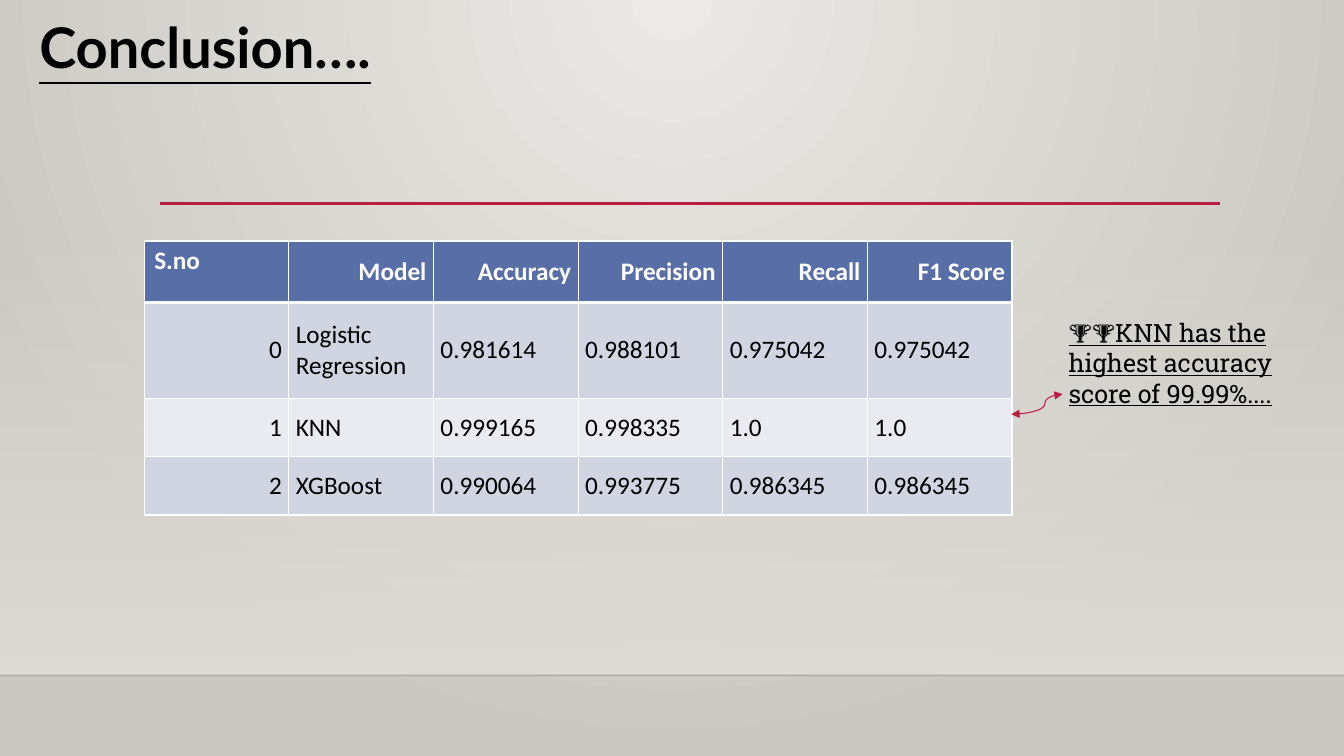
from lxml import etree
from pptx import Presentation
from pptx.dml.color import RGBColor
from pptx.enum.shapes import MSO_CONNECTOR as Connector, MSO_SHAPE as Preset
from pptx.enum.text import MSO_ANCHOR as Anchor, MSO_AUTO_SIZE as AutoSize, PP_ALIGN as Align
from pptx.oxml.ns import qn
from pptx.util import Inches, Pt

WIDTH, HEIGHT, FLOOR = 13.33, 7.5, 6.7
BLACK, WHITE, CRIMSON, SAND = "000000", "FFFFFF", "B71E42", "DFDBD5"
HEADER_FILL, BAND_FILLS = "586EA6", ("D1D5E1", "EAEBF1")
COLUMN_WIDTH = 1.435
ROW_HEIGHTS = (0.61, 0.95, 0.58, 0.58)
SCORES = (
    ("S.no", "Model", "Accuracy", "Precision", "Recall", "F1 Score"),
    ("0", "Logistic Regression", "0.981614", "0.988101", "0.975042", "0.975042"),
    ("1", "KNN", "0.999165", "0.998335", "1.0", "1.0"),
    ("2", "XGBoost", "0.990064", "0.993775", "0.986345", "0.986345"),
)


def color(value):
    return RGBColor.from_string(value)


def add_element(parent, tag, **attributes):
    element = etree.SubElement(parent, qn(tag))
    for name, value in attributes.items():
        element.set(name, str(value))
    return element


def set_opacity(parent, percent):
    """Apply an opacity to the first RGB colour below parent."""
    add_element(next(parent.iter(qn("a:srgbClr"))), "a:alpha", val=percent * 1000)


def write_text(frame, text, font="Calibri", size=18, ink=BLACK, bold=False,
               underline=False, align=Align.LEFT, spacing=None):
    frame.word_wrap = True
    paragraph = frame.paragraphs[0]
    paragraph.alignment = align
    paragraph.line_spacing = spacing
    run = paragraph.add_run()
    run.text = text
    run.font.name = font
    run.font.size = Pt(size)
    run.font.bold = bold
    run.font.underline = underline
    run.font.color.rgb = color(ink)


class SlideBuilder:
    def __init__(self, slide):
        self.slide = slide

    def fill_gradient(self, fill, *stops):
        fill.gradient()
        for stop, value in zip(fill.gradient_stops, stops):
            stop.color.rgb = color(value)

    def background(self, inner, outer):
        """Radial gradient that spreads from the middle of the top edge."""
        self.fill_gradient(self.slide.background.fill, inner, outer)
        gradient = next(self.slide.element.iter(qn("a:gradFill")))
        gradient.remove(gradient.find(qn("a:lin")))
        circle = add_element(gradient, "a:path", path="circle")
        add_element(circle, "a:fillToRect", l=43000, t=0, r=43000, b=100000)

    def fading_wall(self, left, top, width, height):
        wall = self.slide.shapes.add_shape(
            Preset.RECTANGLE, Inches(left), Inches(top), Inches(width), Inches(height))
        wall.shadow.inherit = False
        wall.line.fill.background()
        self.fill_gradient(wall.fill, SAND, SAND)
        wall.fill.gradient_angle = 270
        set_opacity(wall.element.spPr, 0)

    def line(self, start, end, ink, width, kind=Connector.STRAIGHT):
        connector = self.slide.shapes.add_connector(
            kind, *(Inches(length) for length in start + end))
        connector.line.color.rgb = color(ink)
        connector.line.width = Pt(width)
        add_element(connector.element.spPr, "a:effectLst")
        return connector

    def curved_arrow(self, start, end, bend):
        arrow = self.line(start, end, CRIMSON, 0.75, Connector.CURVE)
        properties = arrow.element.spPr
        guides = next(properties.iter(qn("a:avLst")))
        add_element(guides, "a:gd", name="adj1", fmla=f"val {round(bend * 100000)}")
        for tag in ("a:headEnd", "a:tailEnd"):
            add_element(properties.find(qn("a:ln")), tag, type="triangle")

    def title(self, text, left, top, width, height):
        title = self.slide.shapes.title
        title.left, title.top = Inches(left), Inches(top)
        title.width, title.height = Inches(width), Inches(height)
        frame = title.text_frame
        frame.vertical_anchor = Anchor.TOP
        frame.auto_size = AutoSize.NONE
        write_text(frame, text, font="Lato", size=40, bold=True, underline=True, spacing=0.9)

    def note(self, text, left, top, width, height):
        box = self.slide.shapes.add_textbox(
            Inches(left), Inches(top), Inches(width), Inches(height))
        box.text_frame.auto_size = AutoSize.SHAPE_TO_FIT_TEXT
        write_text(box.text_frame, text, font="Roboto Slab", underline=True)

    def cell_borders(self, cell, row):
        properties = cell._tc.get_or_add_tcPr()
        widths = {"a:lnL": 1, "a:lnR": 1,
                  "a:lnT": 3 if row == 1 else 1, "a:lnB": 3 if row == 0 else 1}
        for tag, width in widths.items():
            border = add_element(properties, tag, w=Pt(width))
            add_element(add_element(border, "a:solidFill"), "a:srgbClr", val=WHITE)

    def table(self, rows, left, top):
        columns = len(rows[0])
        table = self.slide.shapes.add_table(
            len(rows), columns, Inches(left), Inches(top),
            Inches(COLUMN_WIDTH * columns), Inches(sum(ROW_HEIGHTS))).table
        for column in table.columns:
            column.width = Inches(COLUMN_WIDTH)
        for row, texts in enumerate(rows):
            table.rows[row].height = Inches(ROW_HEIGHTS[row])
            for column, text in enumerate(texts):
                self.table_cell(table.cell(row, column), text, row, column)

    def table_cell(self, cell, text, row, column):
        header = row == 0
        corner = header and column == 0
        self.cell_borders(cell, row)
        cell.fill.solid()
        cell.fill.fore_color.rgb = color(HEADER_FILL if header else BAND_FILLS[(row - 1) % 2])
        if not corner:
            cell.vertical_anchor = Anchor.MIDDLE
            cell.margin_left = cell.margin_right = Inches(0.07)
            cell.margin_top = cell.margin_bottom = Inches(0.03)
        to_right = header != (column == 0)
        write_text(cell.text_frame, text, ink=WHITE if header else BLACK, bold=header,
                   align=Align.RIGHT if to_right else Align.LEFT)


def main():
    presentation = Presentation()
    presentation.slide_width, presentation.slide_height = Inches(WIDTH), Inches(HEIGHT)
    title_only = presentation.slide_layouts[5]
    builder = SlideBuilder(presentation.slides.add_slide(title_only))

    builder.background("ECEAE7", "CAC7C1")
    builder.fading_wall(0, 2.21, WIDTH, FLOOR - 2.21)
    floor_edge = builder.line((0, FLOOR), (WIDTH, FLOOR), "000001", 1)
    set_opacity(floor_edge.element.spPr, 20)
    builder.line((1.59, 2.02), (12.1, 2.02), CRIMSON, 2.5)
    builder.title("Conclusion….", 0.29, 0.15, 10.5, 1.15)
    builder.table(SCORES, 1.43, 2.39)
    builder.note("🏆🏆KNN has the highest accuracy score of 99.99%....", 10.5, 3.1, 2.83, 1.01)
    builder.curved_arrow((10.54, 3.91), (10.03, 4.11), 0.35)
    presentation.save("out.pptx")


if __name__ == "__main__":
    main()
